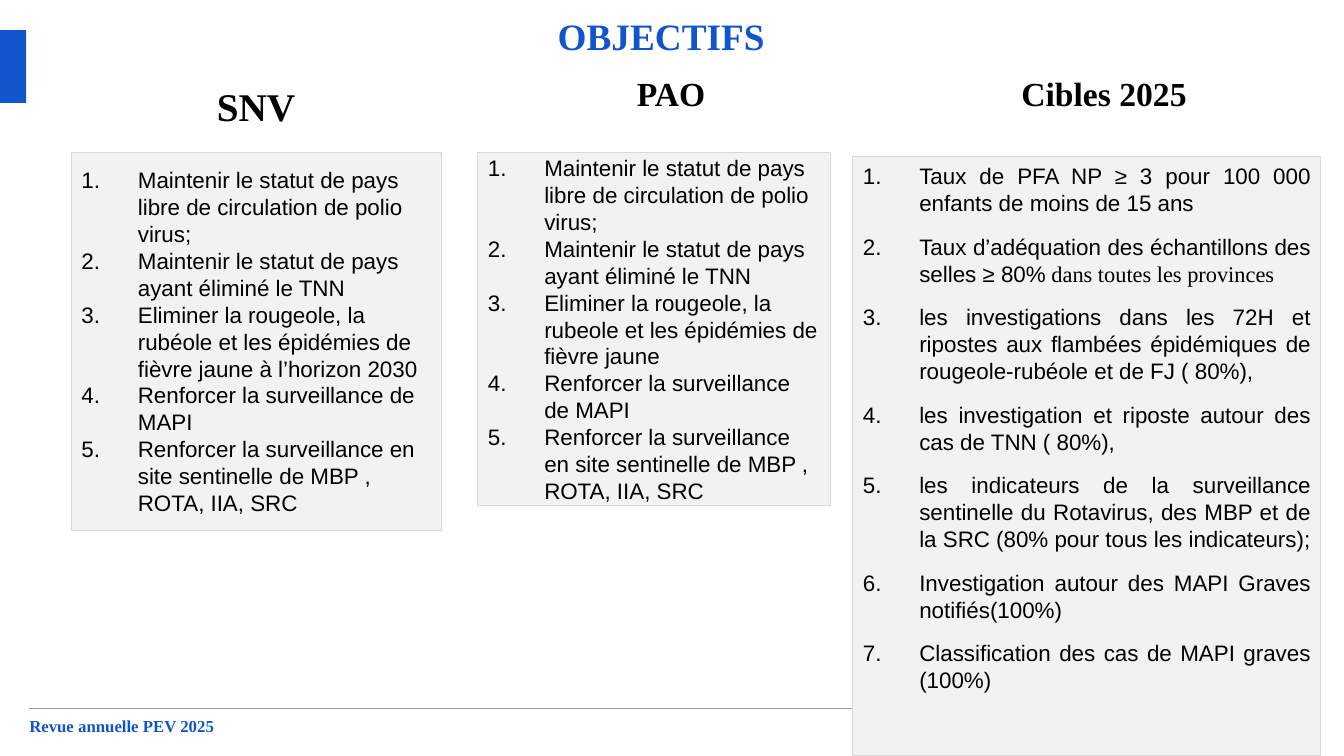
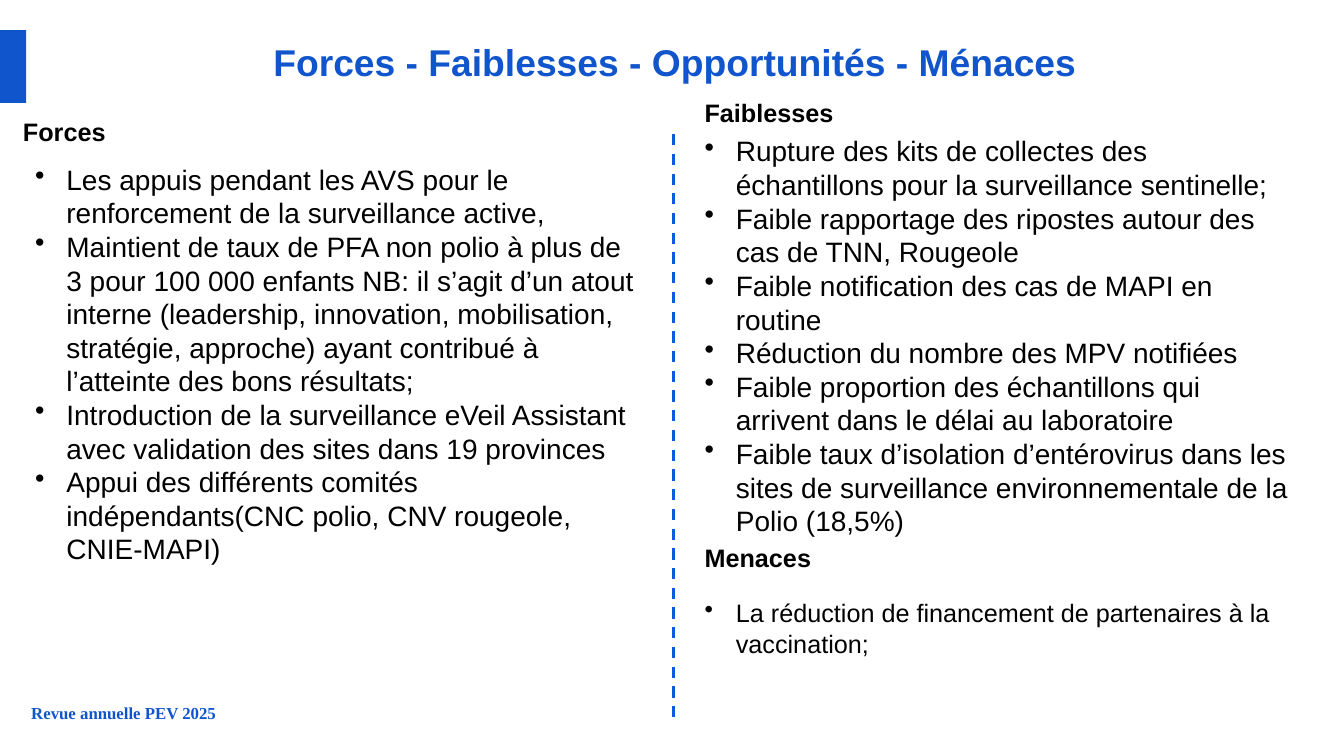
from dataclasses import dataclass

from lxml.etree import SubElement
from pptx import Presentation
from pptx.dml.color import RGBColor as Rgb
from pptx.enum.dml import MSO_LINE_DASH_STYLE as Dash
from pptx.enum.shapes import MSO_CONNECTOR as Connector, MSO_SHAPE as Shape
from pptx.enum.text import MSO_ANCHOR as Anchor, PP_ALIGN as Align
from pptx.oxml.ns import qn
from pptx.util import Inches, Pt


@dataclass(frozen=True)
class Theme:
    blue: Rgb = Rgb(0x11, 0x55, 0xCC)
    divider: Rgb = Rgb(0x0D, 0x5B, 0xDC)
    black: Rgb = Rgb(0, 0, 0)
    panel: Rgb = Rgb(0xF2, 0xF2, 0xF2)
    panel_edge: Rgb = Rgb(0xD9, 0xD9, 0xD9)
    rule: Rgb = Rgb(0x9E, 0x9E, 0x9E)
    sans: str = "Arial"
    serif: str = "Times New Roman"
    title: float = 26.6
    column_large: float = 28
    column: float = 24
    body_large: float = 20
    body: float = 18
    panel_text: float = 16
    footer: float = 12


THEME = Theme()
FOOTER = "Revue annuelle PEV 2025"
NUMBER = ("a:buAutoNum", {"type": "arabicPeriod"}, 0.56)
BULLET = ("a:buChar", {"char": "•"}, 0.31)

# Slide 1 wording
ELIMINATION = [
    "Maintenir le statut de pays libre de circulation de polio virus;",
    "Maintenir le statut de pays ayant éliminé le TNN",
]
REINFORCEMENT = [
    "Renforcer la surveillance de MAPI",
    "Renforcer la surveillance en site sentinelle de MBP , ROTA, IIA, SRC",
]
SNV_GOALS = [
    *ELIMINATION,
    "Eliminer la rougeole, la rubéole et les épidémies de fièvre jaune à l’horizon 2030",
    *REINFORCEMENT,
]
PAO_GOALS = [
    *ELIMINATION,
    "Eliminer la rougeole, la rubeole et les épidémies de fièvre jaune",
    *REINFORCEMENT,
]
SERIF_ENDING = " dans toutes les provinces"
TARGETS = [
    "Taux de PFA NP ≥ 3 pour 100 000 enfants de moins de 15 ans",
    "Taux d’adéquation des échantillons des selles ≥ 80%",
    "les investigations dans les 72H et ripostes aux flambées épidémiques de "
    "rougeole-rubéole et de FJ ( 80%),",
    "les investigation et riposte autour des cas de TNN ( 80%),",
    "les indicateurs de la surveillance sentinelle du Rotavirus, des MBP et de la SRC "
    "(80% pour tous les indicateurs);",
    "Investigation autour des MAPI Graves notifiés(100%)",
    "Classification des cas de MAPI graves (100%)",
]

# Slide 2 wording
STRENGTHS = [
    "Les appuis pendant les AVS pour le renforcement de la surveillance active,",
    "Maintient de taux de PFA non polio à plus de 3 pour 100 000 enfants NB: il s’agit "
    "d’un atout interne (leadership, innovation, mobilisation, stratégie, approche) "
    "ayant contribué à l’atteinte des bons résultats;",
    "Introduction de la surveillance eVeil Assistant avec validation des sites dans "
    "19 provinces",
    "Appui des différents comités indépendants(CNC polio, CNV rougeole, CNIE-MAPI)",
]
WEAKNESSES = [
    "Rupture des kits de collectes des échantillons pour la surveillance sentinelle;",
    "Faible rapportage des ripostes autour des cas de TNN, Rougeole",
    "Faible notification des cas de MAPI en routine",
    "Réduction du nombre des MPV notifiées",
    "Faible proportion des échantillons qui arrivent dans le délai au laboratoire",
    "Faible taux d’isolation d’entérovirus dans les sites de surveillance "
    "environnementale de la Polio (18,5%)",
]
THREATS = ["La réduction de financement de partenaires à la vaccination;"]


def style(span, size, font=THEME.sans, color=THEME.black, bold=False):
    span.font.size = Pt(size)
    span.font.name = font
    span.font.color.rgb = color
    span.font.bold = bold


def set_frame(frame, insets, anchor=Anchor.TOP):
    frame.word_wrap = True
    frame.vertical_anchor = anchor
    (frame.margin_left, frame.margin_top,
     frame.margin_right, frame.margin_bottom) = map(Inches, insets)


def add_label(page, text, area, size, align=Align.LEFT, anchor=Anchor.TOP,
              insets=(0, 0, 0, 0), **look):
    """One line of text in a box of its own."""
    frame = page.shapes.add_textbox(*map(Inches, area)).text_frame
    set_frame(frame, insets, anchor)
    frame.text = text
    para = frame.paragraphs[0]
    para.alignment = align
    style(para.runs[0], size, **look)


def fill_list(frame, items, size, marker, align=Align.LEFT, gap=0):
    """A list with hanging numbers or bullets."""
    tag, attributes, indent = marker
    for index, item in enumerate(items):
        para = frame.add_paragraph() if index else frame.paragraphs[0]
        para.text = item
        para.alignment = align
        properties = para._p.get_or_add_pPr()
        properties.set("marL", str(Inches(indent)))
        properties.set("indent", str(-Inches(indent)))
        SubElement(properties, qn(tag), attributes)
        para.space_before = Pt(gap if index else 0)
        para.space_after = Pt(gap)
        style(para.runs[0], size)


def add_bullets(page, items, area, size):
    frame = page.shapes.add_textbox(*map(Inches, area)).text_frame
    set_frame(frame, (0.1, 0.05, 0.1, 0.05))
    fill_list(frame, items, size, BULLET)


def add_block(page, area, fill, edge=None):
    block = page.shapes.add_shape(Shape.RECTANGLE, *map(Inches, area))
    block.shadow.inherit = False
    block.fill.solid()
    block.fill.fore_color.rgb = fill
    if edge is None:
        block.line.fill.background()
    else:
        block.line.color.rgb = edge
        block.line.width = Pt(0.75)
    return block


def add_panel(page, items, area, anchor=Anchor.MIDDLE, top=0.1, **layout):
    """A grey panel holding a numbered list."""
    frame = add_block(page, area, THEME.panel, THEME.panel_edge).text_frame
    set_frame(frame, (0.1, top, 0.1, 0.1), anchor)
    fill_list(frame, items, THEME.panel_text, NUMBER, **layout)
    return frame


def add_line(page, ends, color, width, dash=None):
    line = page.shapes.add_connector(Connector.STRAIGHT, *map(Inches, ends))
    line.line.color.rgb = color
    line.line.width = Pt(width)
    if dash is not None:
        line.line.dash_style = dash
    SubElement(line._element.spPr, qn("a:effectLst"))


def add_page(deck, title, title_area, title_font, footer_at):
    """A page with the shared title, side band and footer."""
    page = deck.slides.add_slide(deck.slide_layouts[6])
    add_label(page, title, title_area, THEME.title, Align.CENTER,
              font=title_font, color=THEME.blue, bold=True)
    add_block(page, (0, 0.3, 0.26, 0.72), THEME.blue)
    add_label(page, FOOTER, (*footer_at, 12.48, 0.2), THEME.footer,
              font=THEME.serif, color=THEME.blue, bold=True)
    return page


def build_objectives(deck):
    page = add_page(deck, "OBJECTIFS", (4.58, 0.13, 3.96, 0.8), THEME.serif, (0.29, 7.1))
    add_line(page, (0.29, 7.03, 13.02, 7.03), THEME.rule, 0.75)

    # Numbered panels
    add_panel(page, SNV_GOALS, (0.71, 1.51, 3.67, 3.75))
    add_panel(page, PAO_GOALS, (4.74, 1.51, 3.5, 3.51))
    targets = add_panel(page, TARGETS, (8.46, 1.55, 4.64, 5.95), Anchor.TOP, 0.06,
                        align=Align.JUSTIFY, gap=6)
    ending = targets.paragraphs[1].add_run()
    ending.text = SERIF_ENDING
    style(ending, THEME.panel_text, THEME.serif)

    # Column headings
    for text, area, size in (
        ("SNV", (0.73, 0.77, 3.62, 0.55), THEME.column_large),
        ("PAO", (4.92, 0.55, 3.47, 0.74), THEME.column),
        ("Cibles 2025", (9.26, 0.64, 3.38, 0.57), THEME.column),
    ):
        add_label(page, text, area, size, Align.CENTER, Anchor.MIDDLE,
                  (0.1, 0.1, 0.1, 0.1), font=THEME.serif, bold=True)


def build_analysis(deck):
    page = add_page(deck, "Forces - Faiblesses - Opportunités - Ménaces",
                    (0.5, 0.39, 12.4, 0.75), THEME.sans, (0.31, 6.97))
    add_line(page, (6.68, 1.33, 6.68, 7.16), THEME.divider, 2, Dash.DASH)

    # Headings with their lists
    for heading, heading_area, items, list_area, size in (
        ("Forces", (0.13, 1.11, 5.56, 0.4),
         STRENGTHS, (0.25, 1.56, 6.22, 2.3), THEME.body_large),
        ("Faiblesses", (6.89, 0.92, 3.15, 0.4),
         WEAKNESSES, (6.89, 1.28, 6.06, 4.05), THEME.body_large),
        ("Menaces", (6.89, 5.33, 3.15, 0.4),
         THREATS, (6.89, 5.88, 6.11, 1.11), THEME.body),
    ):
        add_label(page, heading, heading_area, THEME.body,
                  insets=(0.1, 0.05, 0.1, 0.05), bold=True)
        add_bullets(page, items, list_area, size)


def main():
    deck = Presentation()
    deck.slide_width, deck.slide_height = Inches(13.33), Inches(7.5)
    build_objectives(deck)
    build_analysis(deck)
    deck.save("out.pptx")


if __name__ == "__main__":
    main()
